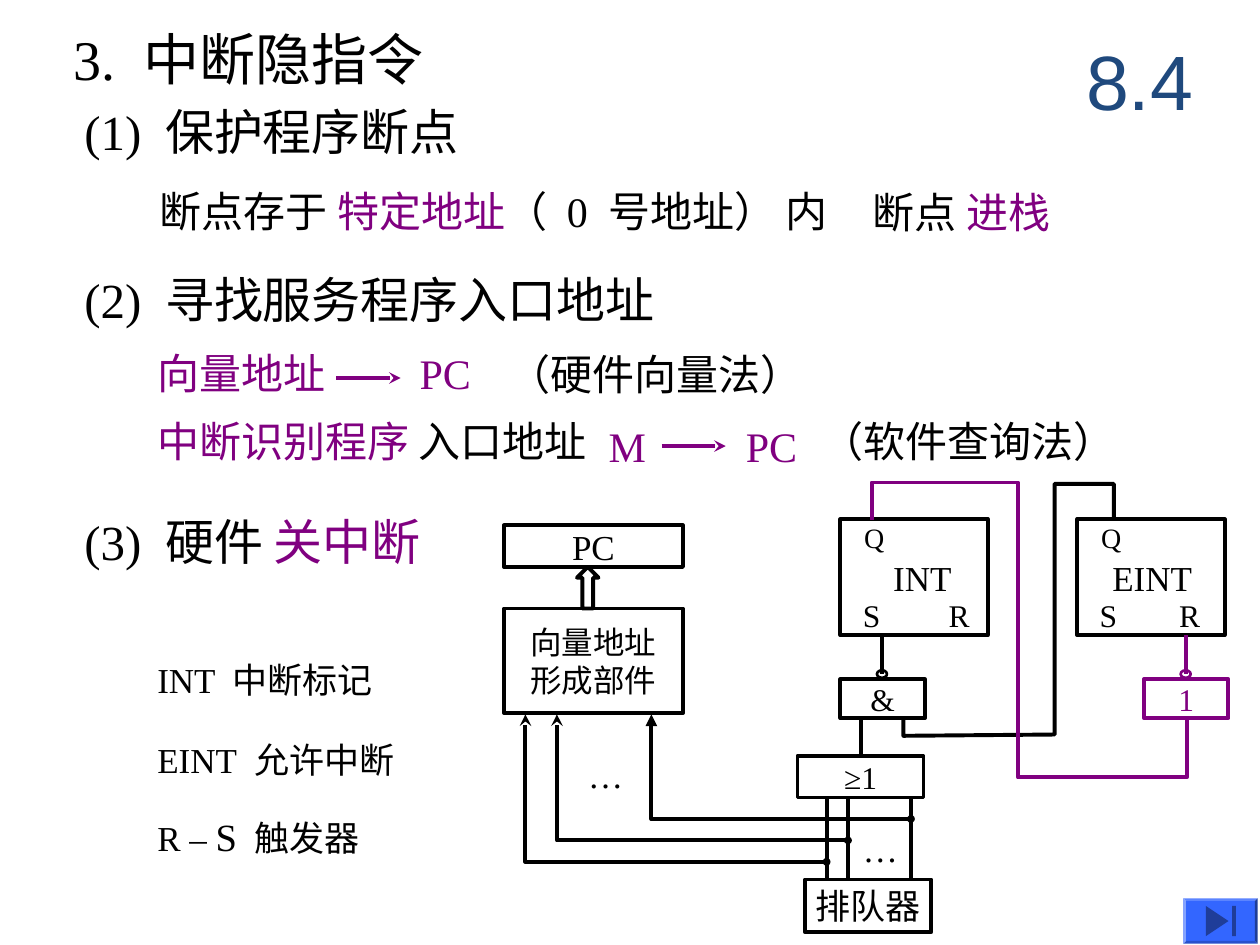
from lxml import etree
from pptx import Presentation
from pptx.dml.color import RGBColor
from pptx.enum.shapes import MSO_CONNECTOR, MSO_SHAPE
from pptx.enum.text import MSO_ANCHOR, PP_ALIGN
from pptx.oxml.ns import qn
from pptx.util import Inches, Pt

RECT, OVAL, UP = MSO_SHAPE.RECTANGLE, MSO_SHAPE.OVAL, MSO_SHAPE.UP_ARROW
BEVEL, PLAY = MSO_SHAPE.BEVEL, MSO_SHAPE.ISOSCELES_TRIANGLE
STRAIGHT = MSO_CONNECTOR.STRAIGHT
TOP, MIDDLE = MSO_ANCHOR.TOP, MSO_ANCHOR.MIDDLE
LEFT, CENTER = PP_ALIGN.LEFT, PP_ALIGN.CENTER
BLACK, PURPLE, NAVY, BLUE, DARK = "000000", "800080", "1F497D", "3366FF", "1F3D99"
SERIF, SANS = "Times New Roman", "Arial"


def color(code):
    return RGBColor.from_string(code)


def write(frame, lines, size, code=BLACK, font=SERIF, align=LEFT, tabs=()):
    """Each line is a string or a list of (text, colour, size) runs."""
    for i, line in enumerate(lines):
        para = frame.paragraphs[0] if i == 0 else frame.add_paragraph()
        para.alignment = align
        if tabs:
            stops = etree.SubElement(para._p.get_or_add_pPr(), qn("a:tabLst"))
            for pos in tabs:
                etree.SubElement(stops, qn("a:tab"), pos=str(Inches(pos)), algn="l")
        para.font.size, para.font.name = Pt(size), font
        para.font.color.rgb = color(code)
        runs = [(line, None, None)] if isinstance(line, str) else line
        for text, tint, points in runs:
            run = para.add_run()
            run.text = text
            if tint:
                run.font.color.rgb = color(tint)
            if points:
                run.font.size = Pt(points)


def label(slide, box, lines, size, code=BLACK, pad=0.1, anchor=TOP, wrap=False, tabs=()):
    frame = slide.shapes.add_textbox(*map(Inches, box)).text_frame
    frame.word_wrap, frame.vertical_anchor = wrap, anchor
    frame.margin_left = frame.margin_right = Inches(pad)
    write(frame, lines, size, code, tabs=tabs)


def head(slide, box, line, size, code=BLACK, tabs=()):
    label(slide, box, [line], size, code, 0, MIDDLE, tabs=tabs)


def shape(slide, kind, box, code=BLACK, width=2.25, fill=None):
    item = slide.shapes.add_shape(kind, *map(Inches, box))
    item.shadow.inherit = False
    if fill:
        item.fill.solid()
        item.fill.fore_color.rgb = color(fill)
        item.line.fill.background()
    else:
        item.fill.background()
        item.line.color.rgb = color(code)
        item.line.width = Pt(width)
    return item


def block(slide, box, lines, size, code=BLACK):
    item = shape(slide, RECT, box, code)
    frame = item.text_frame
    frame.word_wrap, frame.vertical_anchor = False, MIDDLE
    write(frame, lines, size, code, align=CENTER)
    return item


def ends(item, start, stop):
    line = item.line._get_or_add_ln()
    for tag, kind in (("a:headEnd", start), ("a:tailEnd", stop)):
        if kind:
            size = "sm" if kind == "oval" else "med"
            etree.SubElement(line, qn(tag), type=kind, w=size, len=size)


def wire(slide, x1, y1, x2, y2, code=BLACK, tip=None):
    item = slide.shapes.add_connector(STRAIGHT, *map(Inches, (x1, y1, x2, y2)))
    item.line.color.rgb, item.line.width = color(code), Pt(2.25)
    ends(item, None, tip)
    etree.SubElement(item._element.spPr, qn("a:effectLst"))
    return item


def route(slide, points, code=BLACK, start=None, stop=None):
    spots = [(Inches(x), Inches(y)) for x, y in points]
    pen = slide.shapes.build_freeform(*spots[0])
    pen.add_line_segments(spots[1:], close=False)
    item = pen.convert_to_shape()
    item.shadow.inherit = False
    item.fill.background()
    item.line.color.rgb, item.line.width = color(code), Pt(2.25)
    ends(item, start, stop)


def title(slide, box):
    item = slide.shapes.title
    item.left, item.top, item.width, item.height = map(Inches, box)
    item.text_frame.vertical_anchor = MIDDLE
    write(item.text_frame, ["8.4"], 44, NAVY, SANS, CENTER)


def outline(slide, x, y):
    head(slide, (x, y, 4.25, 0.58), "3.\t中断隐指令", 32, tabs=[0.56])
    for dy, high, line in (
        (0.58, 0.58, "(1)\t保护程序断点"),
        (1.91, 0.58, "(2)\t寻找服务程序入口地址"),
        (3.75, 0.75, [("(3)\t硬件 ", None, None), ("关中断", PURPLE, None)]),
    ):
        head(slide, (x + 0.09, y + dy, 6.58, high), line, 28, tabs=[0.64])
    # Where the breakpoint is kept
    label(slide, (x + 0.59, y + 1.25, 5.83, 0.5),
          [[("断点存于 ", None, None), ("特定地址", PURPLE, None),
            ("（\t0\t号地址） 内", None, None)]], 24, wrap=True, tabs=[3.23, 3.56])
    label(slide, (x + 6.25, y + 1.26, 2.33, 0.5),
          [[("断点 ", None, None), ("进栈", PURPLE, None)]], 24, wrap=True)


def vector(slide, x, y):
    head(slide, (x, y, 1.42, 0.58), "向量地址", 24, PURPLE)
    wire(slide, x + 1.42, y + 0.33, x + 1.93, y + 0.33, PURPLE, "stealth")
    head(slide, (x + 2.08, y, 0.5, 0.58), "PC", 24, PURPLE)
    label(slide, (x + 2.69, y + 0.05, 2.6, 0.5), ["（硬件向量法）"], 24, wrap=True)


def query(slide, x, y):
    head(slide, (x, y, 3.5, 0.58),
         [("中断识别程序 ", PURPLE, None), ("入口地址", None, None)], 24)
    for dx, text in ((3.58, "M"), (4.67, "PC")):
        head(slide, (x + dx, y + 0.04, 0.5, 0.58), text, 24, PURPLE)
    wire(slide, x + 4, y + 0.33, x + 4.51, y + 0.33, PURPLE, "stealth")
    label(slide, (x + 5.17, y + 0.04, 2.6, 0.5), ["（软件查询法）"], 24, wrap=True)


def legend(slide, x, y):
    for dy, line, tab in (
        (0, "INT\t中断标记", 0.6),
        (0.63, "EINT\t允许中断", 0.77),
        (1.22, [("R – ", None, None), ("S", None, 22), ("\t触发器", None, None)], 0.77),
    ):
        label(slide, (x, y + dy, 2.4, 0.44), [line], 20, tabs=[tab])


def flip(slide, x, y, name, dx, reset):
    shape(slide, RECT, (x, y, 1.17, 0.92))
    label(slide, (x + dx, y + 0.25, 1, 0.44), [name], 20)
    label(slide, (x + 0.09, y - 0.04, 0.4, 0.37), ["Q"], 16)
    label(slide, (x + 0.08, y + 0.56, 0.4, 0.4), ["S"], 18)
    label(slide, (x + reset, y + 0.56, 0.4, 0.4), ["R"], 18)


def gate(slide, x, y, text, dx, code):
    shape(slide, OVAL, (x + dx - 0.04, y - 0.07, 0.08, 0.06), code, 1.5)
    wire(slide, x + dx, y - 0.35, x + dx, y - 0.04, code)
    return block(slide, (x, y, 0.67, 0.31), [text], 18, code)


def source(slide, x, y):
    block(slide, (x, y, 1.42, 0.33), ["PC"], 20)
    block(slide, (x, y + 0.66, 1.42, 0.83), ["向量地址", "形成部件"], 18)
    shape(slide, UP, (x + 0.58, y + 0.33, 0.17, 0.33))
    # Request lines into the address block
    for dx, low, end, tip in ((1.17, 2.33, 3.23, "triangle"),
                              (0.42, 2.5, 2.73, "stealth"),
                              (0.17, 2.67, 2.56, "stealth")):
        route(slide, [(x + dx, y + 1.5), (x + dx, y + low), (x + end, y + low)],
              start=tip, stop="oval")
    label(slide, (x + 0.57, y + 1.76, 0.48, 0.44), ["…"], 20)


def logic(slide, x, y):
    flip(slide, x + 0.34, y, "INT", 0.32, 0.76)
    flip(slide, x + 2.22, y, "EINT", 0.18, 0.71)
    gate(slide, x + 0.34, y + 1.27, "&", 0.33, BLACK)
    gate(slide, x + 2.75, y + 1.27, "1", 0.33, PURPLE)
    either = block(slide, (x, y + 1.88, 1, 0.33), ["≥1"], 18)
    block(slide, (x + 0.06, y + 2.86, 1, 0.42), ["排队器"], 20)
    wire(slide, x + 0.5, y + 1.58, x + 0.5, y + 1.88).end_connect(either, 0)
    # Queue lines
    for dx in (0.23, 0.4, 0.9):
        wire(slide, x + dx, y + 2.21, x + dx, y + 2.86)
    label(slide, (x + 0.42, y + 2.4, 0.48, 0.44), ["…"], 20)
    # Feedback between the flip-flops
    for code, path in (
        (BLACK, ((0.84, 1.58), (0.84, 1.72), (2.04, 1.71), (2.04, -0.28),
                 (2.51, -0.28), (2.51, 0))),
        (PURPLE, ((3.09, 1.59), (3.09, 2.05), (1.75, 2.05), (1.75, -0.29),
                  (0.59, -0.29), (0.59, 0.01))),
    ):
        route(slide, [(x + dx, y + dy) for dx, dy in path], code)


def button(slide, x, y):
    shape(slide, BEVEL, (x, y, 0.59, 0.36), fill=BLUE).adjustments[0] = 0.06
    # Triangle turned to point right, then the end bar
    mark = shape(slide, PLAY, (x + 0.15, y + 0.09, 0.24, 0.18), fill=DARK)
    mark.rotation = 90
    shape(slide, RECT, (x + 0.39, y + 0.06, 0.03, 0.24), fill=DARK)


def main():
    deck = Presentation()
    deck.slide_width, deck.slide_height = Inches(10), Inches(7.5)
    slide = deck.slides.add_slide(deck.slide_layouts[5])
    title(slide, (8.42, 0.17, 1.25, 0.92))
    outline(slide, 0.58, 0.17)
    vector(slide, 1.25, 2.67)
    query(slide, 1.25, 3.21)
    legend(slide, 1.15, 5.18)
    source(slide, 4, 4.17)
    logic(slide, 6.33, 4.12)
    button(slide, 9.39, 7.13)
    deck.save("out.pptx")


if __name__ == "__main__":
    main()
